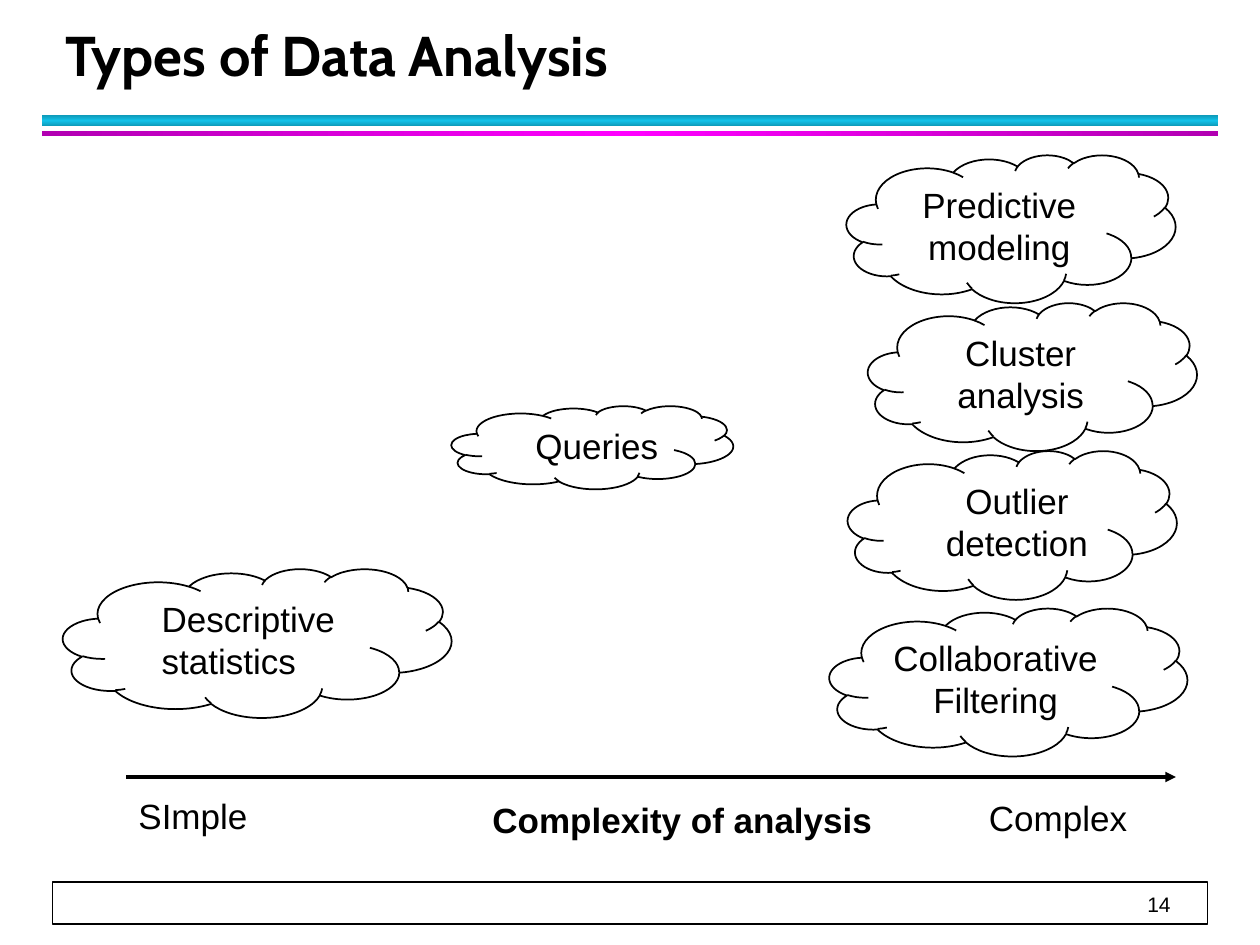
from copy import deepcopy
from dataclasses import dataclass

from lxml.etree import SubElement
from pptx import Presentation
from pptx.dml.color import RGBColor
from pptx.enum.shapes import MSO_CONNECTOR as Connector, MSO_SHAPE as Shape
from pptx.enum.text import MSO_ANCHOR as Anchor, MSO_AUTO_SIZE as AutoSize, PP_ALIGN as Align
from pptx.oxml.ns import qn
from pptx.util import Pt


@dataclass(frozen=True)
class Theme:
    ink: str = "000000"
    paper: str = "FFFFFF"
    cyan: tuple = ("0E9BBA", "12C2E9", "0E9BBA")
    magenta: tuple = ("B200B2", "FF00FF", "B200B2")
    title_font: str = "Cabin"
    body_font: str = "Arial"
    title_size: int = 32
    body_size: int = 20
    number_size: int = 12


THEME = Theme()


def rgb(code):
    return RGBColor.from_string(code)


def points(box):
    return [Pt(length) for length in box]


def write(shape, text, *, size=THEME.body_size, font=THEME.body_font, bold=False,
          align=Align.LEFT, anchor=Anchor.TOP, indent=0, leading=None,
          insets=(7.2, 3.6, 7.2, 3.6)):
    frame = shape.text_frame
    frame.auto_size = AutoSize.NONE
    frame.word_wrap = True
    frame.vertical_anchor = anchor
    (frame.margin_left, frame.margin_top,
     frame.margin_right, frame.margin_bottom) = points(insets)
    paragraph = frame.paragraphs[0]
    paragraph.text = text
    paragraph.alignment = align
    if leading:
        paragraph.line_spacing = Pt(leading)
    if indent:
        properties = paragraph._p.get_or_add_pPr()
        properties.set("marL", str(Pt(indent)))
        properties.set("indent", "0")
    for run in paragraph.runs:
        run.font.name = font
        run.font.size = Pt(size)
        run.font.bold = bold
        run.font.color.rgb = rgb(THEME.ink)


def add_outlined(slide, kind, box, fill=None):
    shape = slide.shapes.add_shape(kind, *points(box))
    shape.shadow.inherit = False
    if fill:
        shape.fill.solid()
        shape.fill.fore_color.rgb = rgb(fill)
    else:
        shape.fill.background()
    shape.line.color.rgb = rgb(THEME.ink)
    shape.line.width = Pt(1)
    return shape


def add_label(slide, box, text, **style):
    write(slide.shapes.add_textbox(*points(box)), text, **style)


def add_gradient_bar(slide, box, colors, angle):
    bar = slide.shapes.add_shape(Shape.RECTANGLE, *points(box))
    bar.shadow.inherit = False
    bar.line.fill.background()
    bar.fill.gradient()
    bar.fill.gradient_angle = angle
    first = bar.fill._xPr.find(".//" + qn("a:gs"))
    first.addnext(deepcopy(first))
    for stop, color, position in zip(bar.fill.gradient_stops, colors, (0, 0.5, 1)):
        stop.color.rgb = rgb(color)
        stop.position = position


def add_header(slide, box, text):
    """Place the title above a thick and a thin rule."""
    left, top, width, height = box
    title = slide.shapes.title
    title.left, title.top, title.width, title.height = points(
        (left + 6, top, width - 20, 42))
    write(title, text, size=THEME.title_size, font=THEME.title_font, bold=True,
          anchor=Anchor.BOTTOM, leading=36)
    add_gradient_bar(slide, (left, top + height - 12, width, 6), THEME.cyan, 90)
    add_gradient_bar(slide, (left, top + height - 3, width, 3), THEME.magenta, 0)


def add_clouds(slide, box):
    left, top = box[:2]
    centered = {"align": Align.CENTER}
    indented = {"indent": 18.7}
    clouds = (
        ("Descriptive statistics", (0, 236.5, 222, 85), indented),
        ("Queries", (222, 143.5, 161, 47.5), indented),
        ("Predictive modeling", (447.8, 0, 188, 84.5), centered),
        ("Cluster analysis", (460, 84.5, 188, 84.5), centered),
        ("Outlier detection", (448.5, 169, 188, 85), centered | indented),
        ("Collaborative\vFiltering", (438, 259, 204.5, 84.5), centered),
    )
    for text, (x, y, width, height), style in clouds:
        cloud = add_outlined(slide, Shape.CLOUD, (left + x, top + y, width, height))
        write(cloud, text, **style)


def add_complexity_axis(slide, box):
    left, top, width, height = box
    arrow = slide.shapes.add_connector(
        Connector.STRAIGHT, *points((left, top, left + width, top)))
    arrow.line.color.rgb = rgb(THEME.ink)
    arrow.line.width = Pt(2)
    SubElement(arrow.line._get_or_add_ln(), qn("a:tailEnd"), type="triangle")
    SubElement(arrow._element.spPr, qn("a:effectLst"))
    add_label(slide, (left, top + 6.7, 95, 32.4), "SImple")
    add_label(slide, (left + 202.3, top + 9, 247.7, 32), "Complexity of analysis", bold=True)
    add_label(slide, (left + 486, top + 7.4, 95, 32.4), "Complex")


def add_footer(slide, box, number):
    left, top, width, height = box
    add_outlined(slide, Shape.RECTANGLE, box, THEME.paper)
    add_label(slide, (left, top, width, height - 4), number, size=THEME.number_size,
              align=Align.RIGHT, anchor=Anchor.BOTTOM, leading=20, insets=(0, 0, 21, 0))


def main():
    deck = Presentation()
    deck.slide_width, deck.slide_height = Pt(720), Pt(540)
    slide = deck.slides.add_slide(deck.slide_layouts[5])
    add_footer(slide, (30, 504, 660, 24), "14")
    add_header(slide, (24, 12, 672, 66), "Types of Data Analysis")
    add_complexity_axis(slide, (72, 444, 600, 41))
    add_clouds(slide, (36, 88.5, 648, 344))
    deck.save("out.pptx")


if __name__ == "__main__":
    main()
